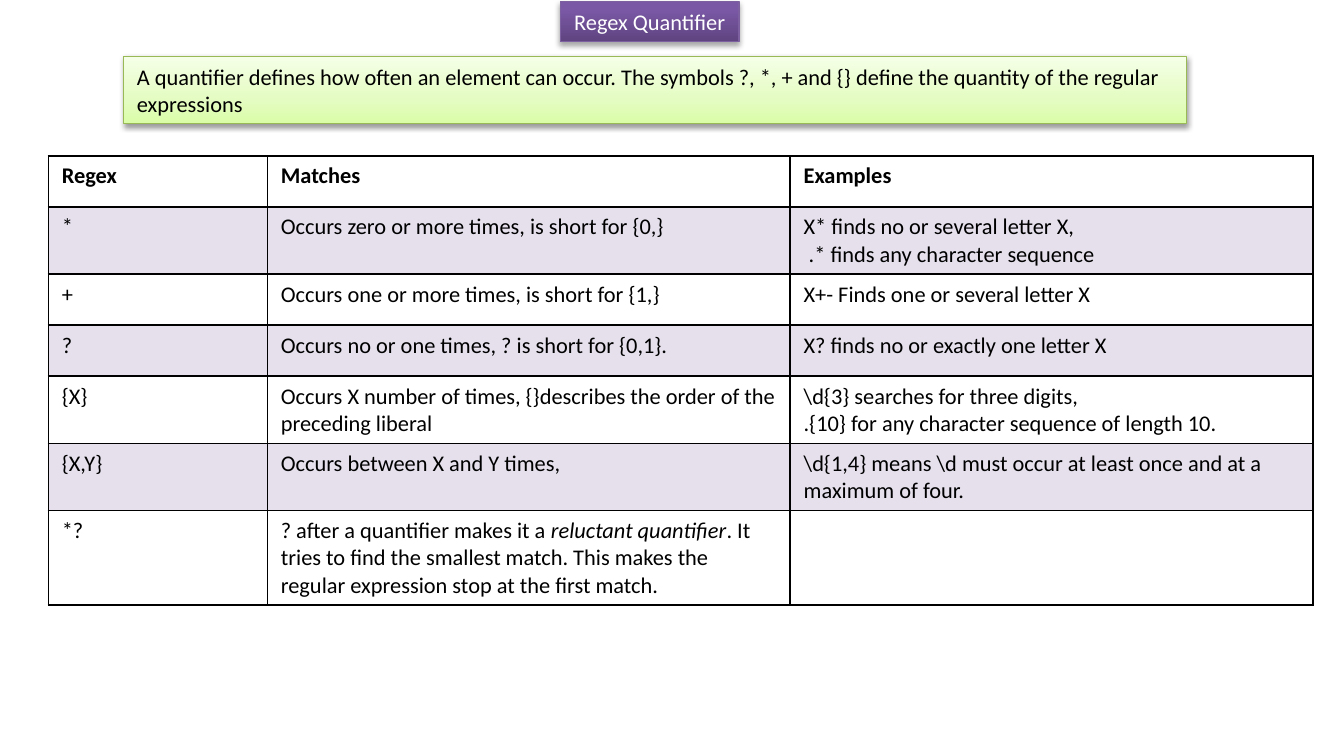
from copy import deepcopy

from lxml.etree import SubElement
from pptx import Presentation
from pptx.dml.color import RGBColor
from pptx.enum.shapes import MSO_SHAPE
from pptx.enum.text import MSO_ANCHOR, MSO_AUTO_SIZE, PP_ALIGN
from pptx.oxml.ns import qn
from pptx.util import Inches, Pt

FONT = "Calibri"
BLACK = "000000"
WHITE = "FFFFFF"
BAND = "8064A2"

TITLE_STOPS = [(0, "5F4480"), (0.8, "7B58A6"), (1, "7C57A8")]
DEFINITION_STOPS = [(0, "DAFDA7"), (0.35, "E4FCC2"), (1, "F5FFE7")]

COLUMN_WIDTHS = [1.63, 3.89, 3.89]
ROW_HEIGHT = 0.38
ROWS = [
    ["Regex", "Matches", "Examples"],
    ["*", "Occurs zero or more times, is short for {0,}",
     "X* finds no or several letter X,\n .* finds any character sequence"],
    ["+", "Occurs one or more times, is short for {1,}", "X+- Finds one or several letter X"],
    ["?", "Occurs no or one times, ? is short for {0,1}.", "X? finds no or exactly one letter X"],
    ["{X}", "Occurs X number of times, {}describes the order of the preceding liberal",
     "\\d{3} searches for three digits,\n.{10} for any character sequence of length 10."],
    ["{X,Y}", "Occurs between X and Y times,",
     "\\d{1,4} means \\d must occur at least once and at a maximum of four."],
    ["*?", "? after a quantifier makes it a |reluctant quantifier|. It tries to find the "
     "smallest match. This makes the regular expression stop at the first match.", ""],
]


def color(value):
    return RGBColor.from_string(value)


def add_run(paragraph, text, text_color, bold=False, italic=False):
    run = paragraph.add_run()
    run.text = text
    run.font.name = FONT
    run.font.size = Pt(12)
    run.font.bold = bold
    run.font.italic = italic
    run.font.color.rgb = color(text_color)


def set_gradient(shape, stops):
    shape.fill.gradient()
    shape.fill.gradient_angle = 90
    stop_list = shape._element.spPr.find(qn("a:gradFill")).find(qn("a:gsLst"))
    stop_list.append(deepcopy(stop_list[-1]))
    for stop, (position, value) in zip(shape.fill.gradient_stops, stops):
        stop.color.rgb = color(value)
        stop.position = position


def set_shadow(shape, distance, opacity):
    shape.shadow.inherit = False
    effects = shape._element.spPr.find(qn("a:effectLst"))
    shadow = SubElement(effects, qn("a:outerShdw"), blurRad=str(Pt(3.1)),
                        dist=str(Pt(distance)), dir="5400000", rotWithShape="0")
    shadow_color = SubElement(shadow, qn("a:srgbClr"), val=BLACK)
    SubElement(shadow_color, qn("a:alpha"), val=str(opacity * 1000))


def add_panel(slide, box, text, stops, line, text_color, alignment, wrap, distance, opacity):
    shape = slide.shapes.add_shape(MSO_SHAPE.RECTANGLE, *map(Inches, box))
    set_gradient(shape, stops)
    shape.line.color.rgb = color(line)
    shape.line.width = Pt(0.75)
    set_shadow(shape, distance, opacity)
    frame = shape.text_frame
    frame.word_wrap = wrap
    frame.auto_size = MSO_AUTO_SIZE.SHAPE_TO_FIT_TEXT
    frame.vertical_anchor = MSO_ANCHOR.TOP
    paragraph = frame.paragraphs[0]
    paragraph.alignment = alignment
    add_run(paragraph, text, text_color)


def set_borders(cell):
    properties = cell._tc.get_or_add_tcPr()
    for side in ("lnL", "lnR", "lnT", "lnB"):
        border = SubElement(properties, qn(f"a:{side}"), w=str(Pt(1)))
        SubElement(SubElement(border, qn("a:solidFill")), qn("a:srgbClr"), val=BLACK)


def set_band(cell):
    cell.fill.solid()
    cell.fill.fore_color.rgb = color(BAND)
    band_color = cell._tc.tcPr.find(qn("a:solidFill"))[0]
    SubElement(band_color, qn("a:alpha"), val="20000")


def fill_cell(cell, text, header):
    for index, line in enumerate(text.split("\n")):
        frame = cell.text_frame
        paragraph = frame.add_paragraph() if index else frame.paragraphs[0]
        for part, words in enumerate(line.split("|")):
            if words:
                add_run(paragraph, words, BLACK, bold=header, italic=part % 2 == 1)


def add_quantifier_table(slide, left, top):
    frame = slide.shapes.add_table(len(ROWS), len(COLUMN_WIDTHS), Inches(left), Inches(top),
                                   Inches(sum(COLUMN_WIDTHS)), Inches(ROW_HEIGHT * len(ROWS)))
    table = frame.table
    table.first_row = False
    table.horz_banding = False
    for column, width in zip(table.columns, COLUMN_WIDTHS):
        column.width = Inches(width)
    for row_index, texts in enumerate(ROWS):
        table.rows[row_index].height = Inches(ROW_HEIGHT)
        for column_index, text in enumerate(texts):
            cell = table.cell(row_index, column_index)
            set_borders(cell)
            if row_index % 2:
                set_band(cell)
            else:
                cell.fill.background()
            fill_cell(cell, text, header=row_index == 0)


def main():
    presentation = Presentation()
    presentation.slide_width = Inches(10)
    presentation.slide_height = Inches(5.5)
    slide = presentation.slides.add_slide(presentation.slide_layouts[6])
    add_panel(slide, (4.17, 0.01, 1.33, 0.3), "Regex Quantifier", TITLE_STOPS,
              "7D60A0", WHITE, PP_ALIGN.CENTER, False, 1.8, 35)
    add_quantifier_table(slide, 0.36, 1.16)
    add_panel(slide, (0.92, 0.42, 7.91, 0.5),
              "A quantifier defines how often an element can occur. The symbols ?, *, + and {} "
              "define the quantity of the regular expressions", DEFINITION_STOPS,
              "98B955", BLACK, PP_ALIGN.LEFT, True, 1.6, 38)
    presentation.save("out.pptx")


if __name__ == "__main__":
    main()
